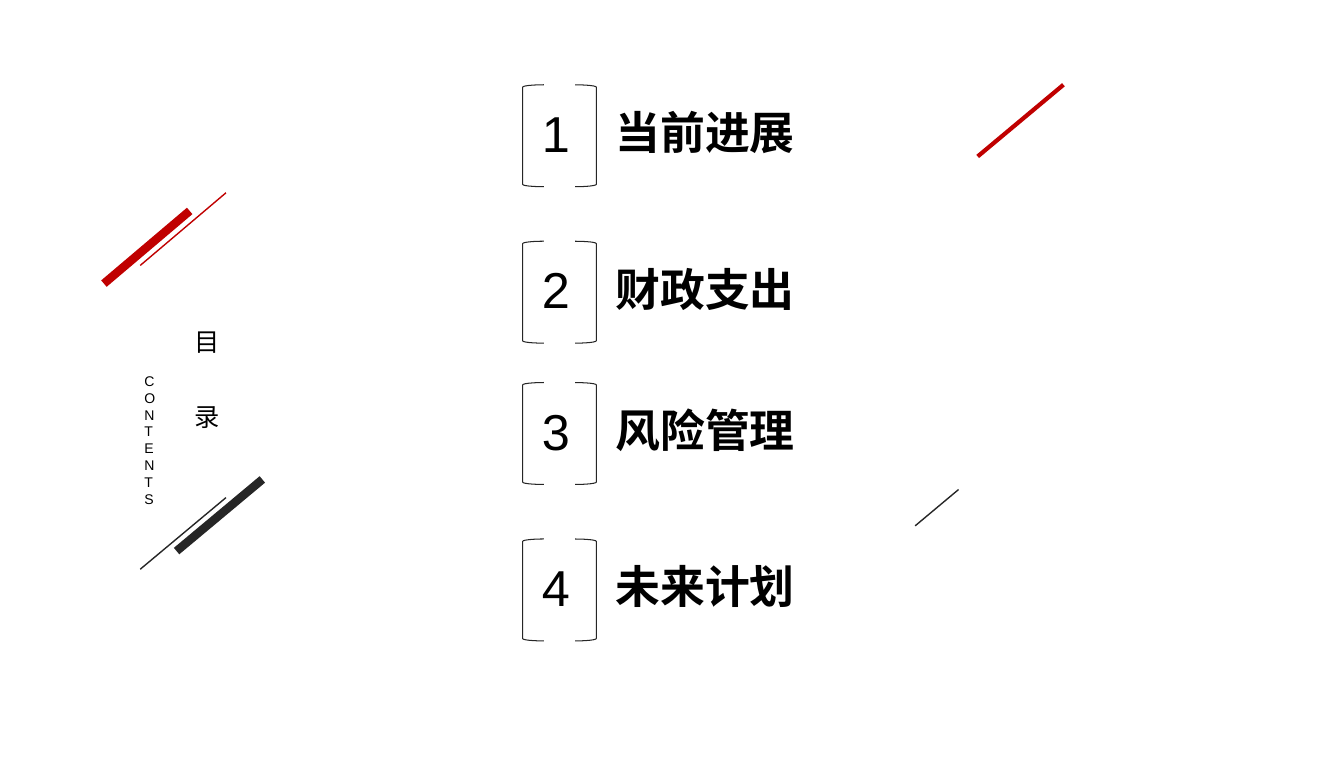
from dataclasses import dataclass

import pptx
import pptx.dml.color
import pptx.enum.shapes
import pptx.enum.text
import pptx.oxml
import pptx.oxml.ns
import pptx.shapes.shapetree
import pptx.text.text
import pptx.util

Inches = pptx.util.Inches
Pt = pptx.util.Pt
RGBColor = pptx.dml.color.RGBColor
MSO_SHAPE = pptx.enum.shapes.MSO_SHAPE
qn = pptx.oxml.ns.qn

RED = RGBColor(0xC0, 0x00, 0x00)
CHARCOAL = RGBColor(0x26, 0x26, 0x26)
BLACK = RGBColor(0x00, 0x00, 0x00)
LATIN_FONT = "Arial"
CJK_FONT = "Noto Sans CJK SC"

BRACKET_LEFTS = {MSO_SHAPE.LEFT_BRACKET: 5.18, MSO_SHAPE.RIGHT_BRACKET: 5.7}


@dataclass
class Slash:
    x1: float
    y1: float
    x2: float
    y2: float
    color: RGBColor
    width: float


@dataclass
class Entry:
    number: str
    title: str
    top: float


@dataclass
class TextStyle:
    font: str
    size: float
    bold: bool = False
    line_spacing: float = 1.0


TITLE = TextStyle(CJK_FONT, 18, line_spacing=2.5)
SUBTITLE = TextStyle(LATIN_FONT, 10)
NUMBER = TextStyle(LATIN_FONT, 36)
ENTRY_TITLE = TextStyle(CJK_FONT, 32, bold=True)

SLASHES = [
    Slash(1.88, 2.09, 1.03, 2.81, RED, 6),
    Slash(2.24, 1.91, 1.39, 2.63, RED, 1),
    Slash(1.75, 5.46, 2.6, 4.75, CHARCOAL, 6),
    Slash(1.39, 5.64, 2.24, 4.93, CHARCOAL, 1),
    Slash(10.54, 0.84, 9.69, 1.55, RED, 3),
    Slash(9.5, 4.85, 9.07, 5.21, CHARCOAL, 1),
]

ENTRIES = [
    Entry("1", "当前进展", 0.84),
    Entry("2", "财政支出", 2.39),
    Entry("3", "风险管理", 3.79),
    Entry("4", "未来计划", 5.34),
]


def style_paragraph(p: pptx.text.text._Paragraph, style: TextStyle) -> None:
    p.line_spacing = style.line_spacing
    p.font.name = style.font
    p.font.size = Pt(style.size)
    p.font.bold = style.bold
    p.font.color.rgb = BLACK
    if style.font == CJK_FONT:
        latin = p._p.pPr.find(qn("a:defRPr")).find(qn("a:latin"))
        ea = pptx.oxml.parse_xml(f'<a:ea {pptx.oxml.ns.nsdecls("a")} typeface="{CJK_FONT}"/>')
        latin.addnext(ea)


def add_text(shapes: pptx.shapes.shapetree._BaseGroupShapes, lines: list[str],
             left: float, top: float, width: float, height: float,
             style: TextStyle, wrap: bool = False) -> None:
    sp = shapes.add_textbox(Inches(left), Inches(top), Inches(width), Inches(height))
    tf = sp.text_frame
    tf.margin_left = tf.margin_right = tf.margin_top = tf.margin_bottom = Inches(0.05)
    tf.word_wrap = wrap
    tf.auto_size = pptx.enum.text.MSO_AUTO_SIZE.SHAPE_TO_FIT_TEXT
    for i, line in enumerate(lines):
        p = tf.add_paragraph() if i else tf.paragraphs[0]
        p.add_run().text = line
        style_paragraph(p, style)


def add_slash(shapes: pptx.shapes.shapetree._BaseGroupShapes, slash: Slash) -> None:
    line = shapes.add_connector(
        pptx.enum.shapes.MSO_CONNECTOR.STRAIGHT,
        Inches(slash.x1), Inches(slash.y1), Inches(slash.x2), Inches(slash.y2))
    line.line.color.rgb = slash.color
    line.line.width = Pt(slash.width)
    line._element.spPr.append(
        pptx.oxml.parse_xml(f'<a:effectLst {pptx.oxml.ns.nsdecls("a")}/>'))


def add_entry(shapes: pptx.shapes.shapetree._BaseGroupShapes, entry: Entry) -> None:
    """Add a bracketed number and its title as one group."""
    group = shapes.add_group_shape().shapes
    add_text(group, [entry.number], 5.32, entry.top + 0.12, 0.35, 0.7, NUMBER)
    for kind, left in BRACKET_LEFTS.items():
        sp = group.add_shape(kind, Inches(left), Inches(entry.top), Inches(0.21), Inches(1.01))
        sp.adjustments[0] = 0.11
        sp.shadow.inherit = False
        sp.fill.background()
        sp.line.color.rgb = CHARCOAL
        sp.line.width = Pt(0.75)
    add_text(group, [entry.title], 6.05, entry.top + 0.15, 1.9, 0.64, ENTRY_TITLE)


def main() -> None:
    prs = pptx.Presentation()
    prs.slide_width = Inches(13.32)
    prs.slide_height = Inches(7.5)
    shapes = prs.slides.add_slide(prs.slide_layouts[6]).shapes

    for slash in SLASHES:
        add_slash(shapes, slash)
    add_text(shapes, ["目", "录"], 1.88, 2.73, 0.43, 1.32, TITLE)
    add_text(shapes, ["CONTENTS"], 1.38, 3.64, 0.25, 1.32, SUBTITLE, wrap=True)
    for entry in ENTRIES:
        add_entry(shapes, entry)

    prs.save("out.pptx")


if __name__ == "__main__":
    main()
